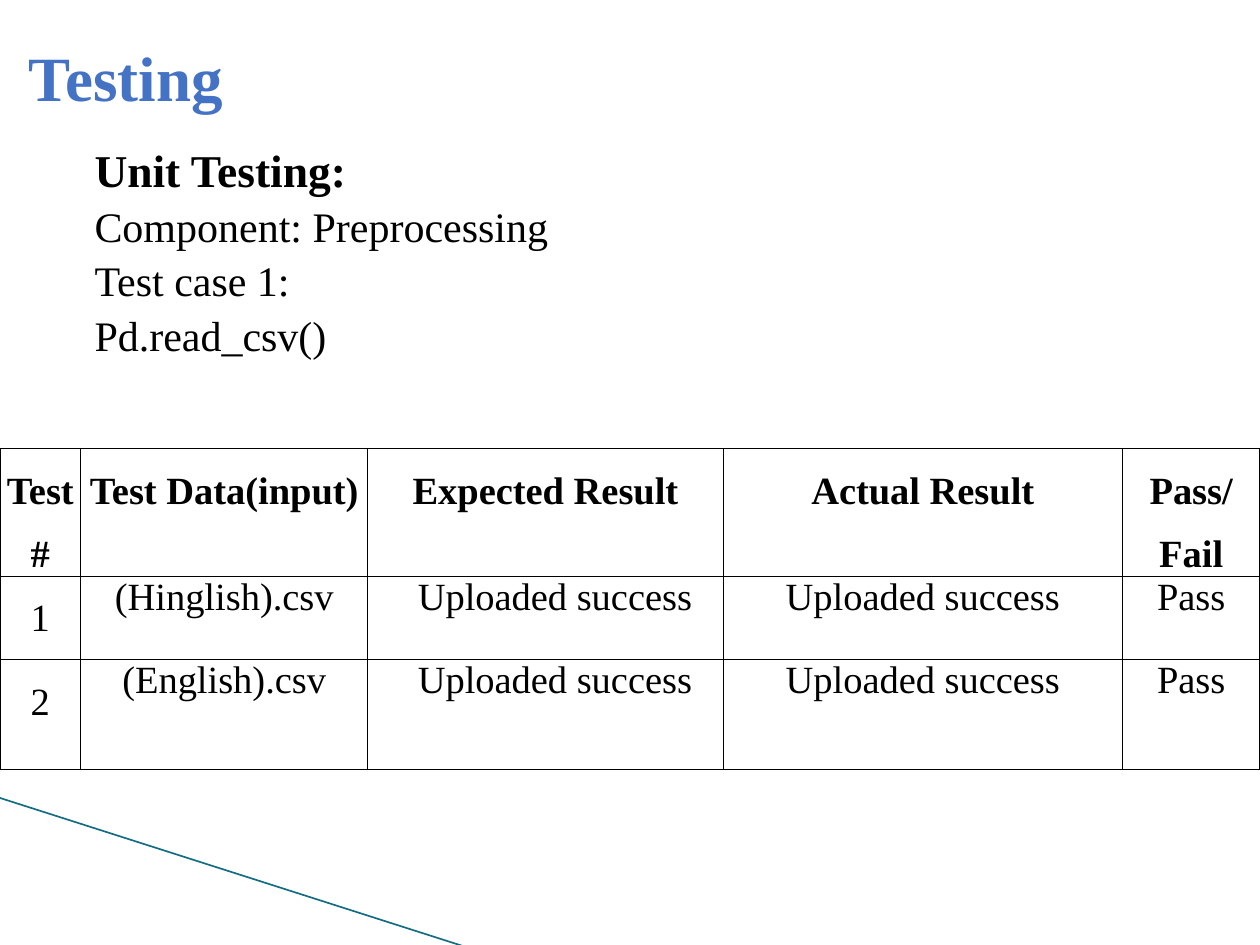
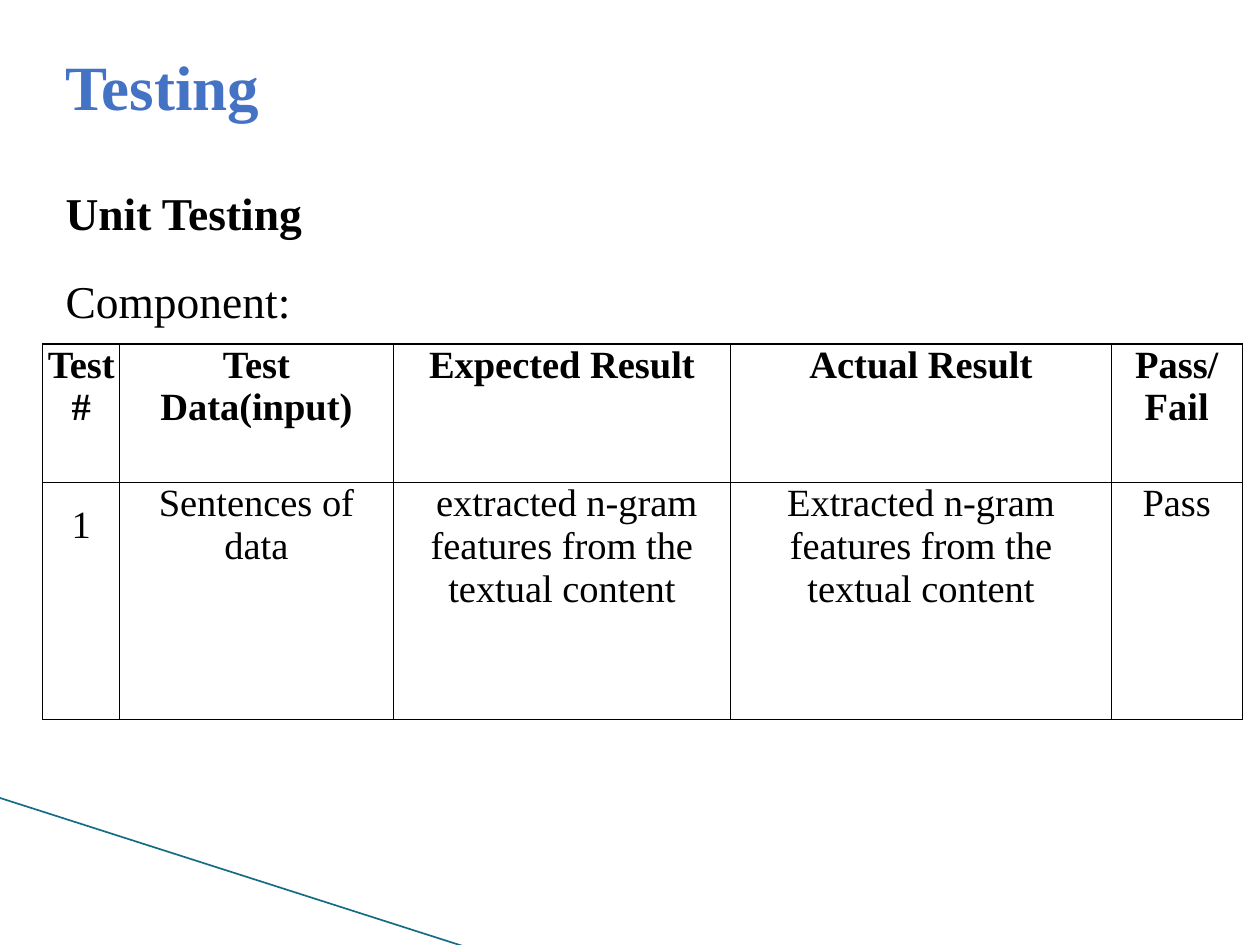
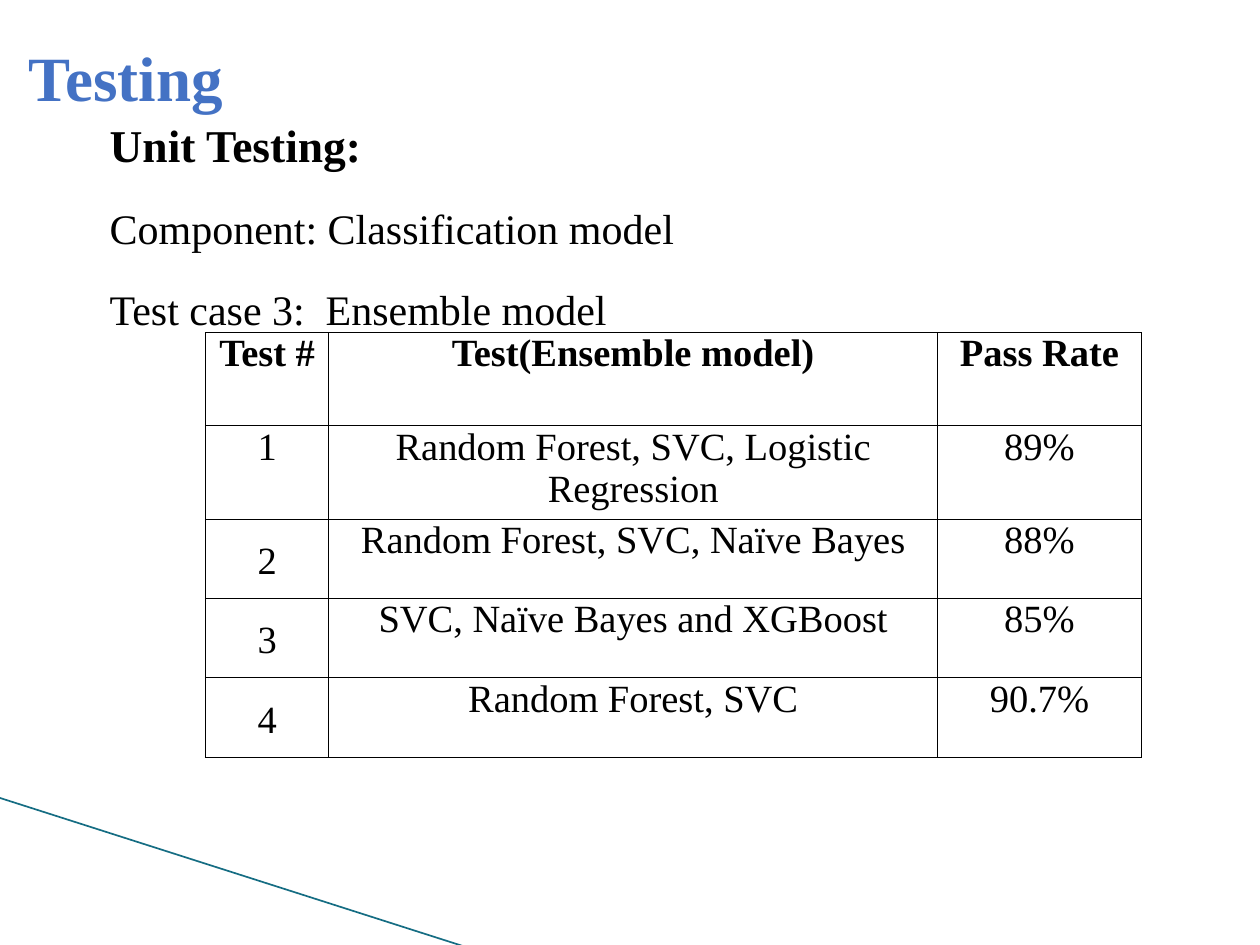
from dataclasses import dataclass

from lxml import etree
from pptx import Presentation
from pptx.dml.color import RGBColor
from pptx.enum.shapes import MSO_CONNECTOR
from pptx.enum.text import MSO_ANCHOR, MSO_AUTO_SIZE, PP_ALIGN
from pptx.oxml.ns import qn
from pptx.util import Inches, Pt

STRAIGHT = MSO_CONNECTOR.STRAIGHT
TOP = MSO_ANCHOR.TOP
NO_FIT = MSO_AUTO_SIZE.NONE
LEFT, CENTER = PP_ALIGN.LEFT, PP_ALIGN.CENTER
LAYOUT_TITLE_BODY = 1


@dataclass(frozen=True)
class Theme:
    font: str = "Times New Roman"
    title: RGBColor = RGBColor(0x44, 0x72, 0xC4)
    text: RGBColor = RGBColor(0, 0, 0)
    accent: RGBColor = RGBColor(0x15, 0x6D, 0x83)
    border: str = "000000"
    title_size: int = 36
    heading_size: int = 26
    body_size: int = 24
    cell_size: int = 22
    accent_width: float = 0.95
    border_width: float = 0.75
    single: float = 1.08
    loose: float = 1.62
    loose_cell: float = 1.5


class Deck:
    def __init__(self, theme):
        self.theme = theme
        self.prs = Presentation()
        self.prs.slide_width, self.prs.slide_height = Inches(10), Inches(7.5)

    def new_slide(self, title, left, top):
        self.s = self.prs.slides.add_slide(self.prs.slide_layouts[LAYOUT_TITLE_BODY])
        self.accent_line()
        tf = self.place(self.s.shapes.title, (left, top, 3.28, 0.81), 0.1)
        tf.text = title
        p = tf.paragraphs[0]
        p.alignment = LEFT
        p.line_spacing = self.theme.single
        self.format_runs(p, self.theme.title_size, True, self.theme.title)

    def accent_line(self):
        line = self.s.shapes.add_connector(
            STRAIGHT, Inches(-0.01), Inches(6.33), Inches(3.71), Inches(7.52))
        line.line.color.rgb = self.theme.accent
        line.line.width = Pt(self.theme.accent_width)
        etree.SubElement(line.element.spPr, qn("a:effectLst"))

    def place(self, sp, box, inset):
        """Move a placeholder, set its insets and return its text frame."""
        sp.left, sp.top, sp.width, sp.height = map(Inches, box)
        tf = sp.text_frame
        tf.margin_left = tf.margin_right = Inches(0.1)
        tf.margin_top = tf.margin_bottom = Inches(inset)
        tf.vertical_anchor = TOP
        tf.auto_size = NO_FIT
        tf.word_wrap = True
        return tf

    def format_runs(self, p, size, bold, color):
        for r in p.runs:
            r.font.name = self.theme.font
            r.font.size = Pt(size)
            r.font.bold = bold
            r.font.color.rgb = color

    def body(self, lines, box, size, spacings, inset=0.1):
        """Fill the body: a bold heading, then plain lines of the given size."""
        tf = self.place(self.s.placeholders[1], box, inset)
        tf.text = "\n".join(lines)
        for i, p in enumerate(tf.paragraphs):
            pPr = p._p.get_or_add_pPr()
            pPr.set("marL", "0")
            pPr.set("indent", "0")
            etree.SubElement(pPr, qn("a:buNone"))
            p.space_before = Pt(0)
            p.line_spacing = spacings[min(i, 1)]
            self.format_runs(p, size if i else self.theme.heading_size,
                             i == 0, self.theme.text)

    def table(self, rows, left, top, widths, heights,
              loose_numbers=(), loose_header=False, indents=None):
        """Draw a grid; indents maps a column to extra left margin below the header."""
        frame = self.s.shapes.add_table(
            len(rows), len(widths), Inches(left), Inches(top),
            Inches(sum(widths)), Inches(sum(heights)))
        tbl = frame.table
        tbl.first_row = tbl.horz_banding = False
        for col, width in zip(tbl.columns, widths):
            col.width = Inches(width)
        for i, (row, height) in enumerate(zip(rows, heights)):
            tbl.rows[i].height = Inches(height)
            for j, text in enumerate(row):
                loose = loose_header if i == 0 else j == 0 and i in loose_numbers
                indent = (indents or {}).get(j, 0) if i else 0
                self.cell(tbl.cell(i, j), text, i == 0, loose, indent)

    def cell(self, cell, text, bold, loose, indent):
        cell.margin_left = Inches(0.02 + indent)
        cell.margin_right = Inches(0.02)
        cell.margin_top = cell.margin_bottom = 0
        self.borders(cell)
        cell.fill.background()
        cell.text_frame.text = text
        p = cell.text_frame.paragraphs[0]
        p.alignment = CENTER
        p.line_spacing = self.theme.loose_cell if loose else 1.0
        self.format_runs(p, self.theme.cell_size, bold, self.theme.text)

    def borders(self, cell):
        tcPr = cell._tc.get_or_add_tcPr()
        for side in ("lnL", "lnR", "lnT", "lnB"):
            ln = etree.SubElement(tcPr, qn(f"a:{side}"),
                                  w=str(Pt(self.theme.border_width)))
            fill = etree.SubElement(ln, qn("a:solidFill"))
            etree.SubElement(fill, qn("a:srgbClr"), val=self.theme.border)


RESULT_HEADER = ("Test #", "Test Data(input)", "Expected Result",
                 "Actual Result", "Pass/ Fail")


def preprocessing_slide(deck):
    t = deck.theme
    deck.new_slide("Testing", 0.13, 0.16)
    deck.body(("Unit Testing:", "Component: Preprocessing", "Test case 1:",
               "Pd.read_csv()"),
              (0.65, 0.99, 8.99, 1.85), t.body_size, (t.single, t.single))
    uploaded = "Uploaded success"
    rows = [RESULT_HEADER] + [
        (str(n), f"({language}).csv", uploaded, uploaded, "Pass")
        for n, language in enumerate(("Hinglish", "English"), 1)]
    deck.table(rows, 0, 3.56, (0.64, 2.28, 2.82, 3.17, 1.09), (0.76, 0.66, 0.87),
               loose_numbers=(1, 2), loose_header=True, indents={2: 0.15})


def features_slide(deck):
    t = deck.theme
    deck.new_slide("Testing", 0.42, 0.23)
    deck.body(("Unit Testing", "Component:"), (0.42, 1.15, 2.3, 1.41),
              t.heading_size, (t.loose, t.loose), inset=0.05)
    rows = [RESULT_HEADER,
            ("1", "Sentences of data",
             " extracted n-gram features from the textual content",
             "Extracted n-gram features from the textual content", "Pass")]
    deck.table(rows, 0.34, 2.73, (0.61, 2.17, 2.68, 3.02, 1.04), (1.1, 1.88),
               loose_numbers=(1,))


def ensemble_slide(deck):
    t = deck.theme
    deck.new_slide("Testing", 0.13, 0.16)
    deck.body(("Unit Testing:", "Component: Classification model",
               "Test case 3:  Ensemble model"),
              (0.77, 0.79, 9.15, 1.85), t.body_size, (t.single, t.loose))
    rows = [("Test #", "Test(Ensemble model)", "Pass Rate"),
            ("1", "Random Forest, SVC, Logistic Regression", "89%"),
            ("2", "Random Forest, SVC, Naïve Bayes", "88%"),
            ("3", "SVC, Naïve Bayes and XGBoost", "85%"),
            ("4", "Random Forest, SVC", "90.7%")]
    deck.table(rows, 1.63, 2.64, (0.98, 4.83, 1.62), (0.74, 0.74, 0.63, 0.63, 0.63),
               loose_numbers=(2, 3, 4))


def main():
    deck = Deck(Theme())
    preprocessing_slide(deck)
    features_slide(deck)
    ensemble_slide(deck)
    deck.prs.save("out.pptx")


if __name__ == "__main__":
    main()
